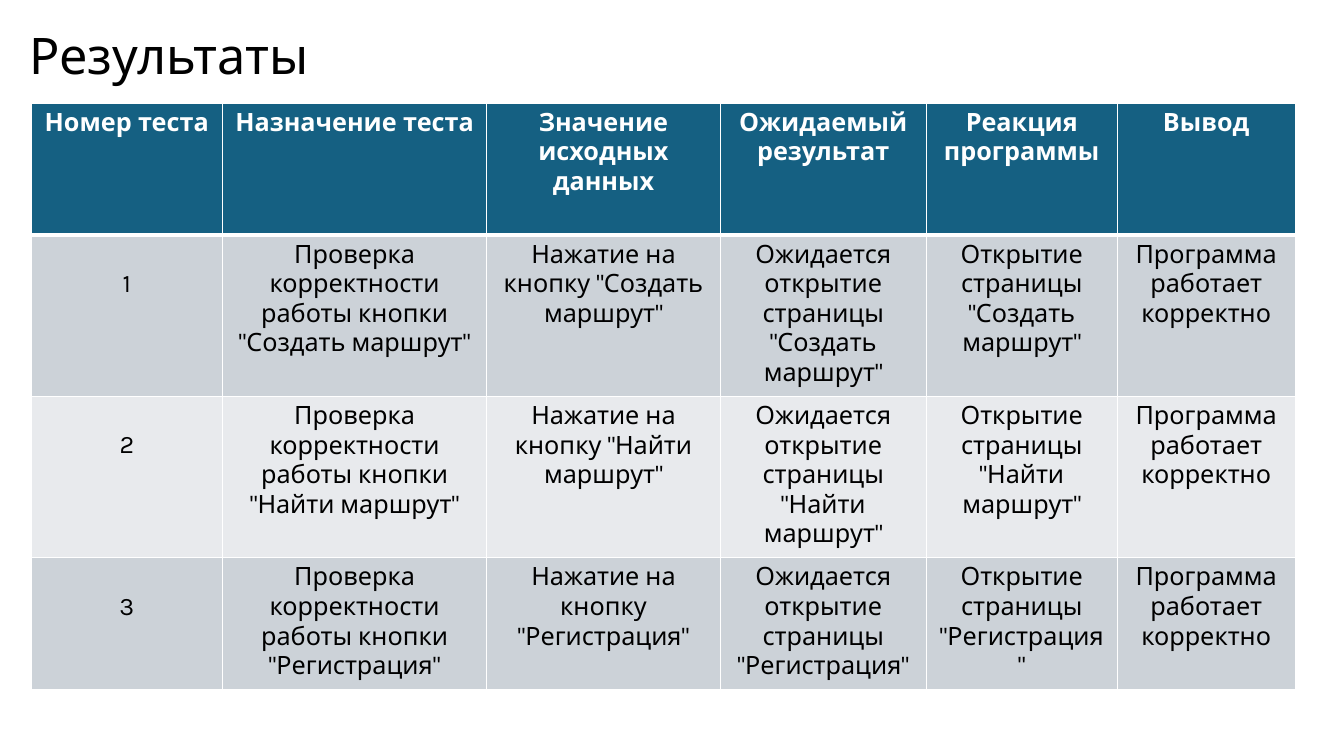
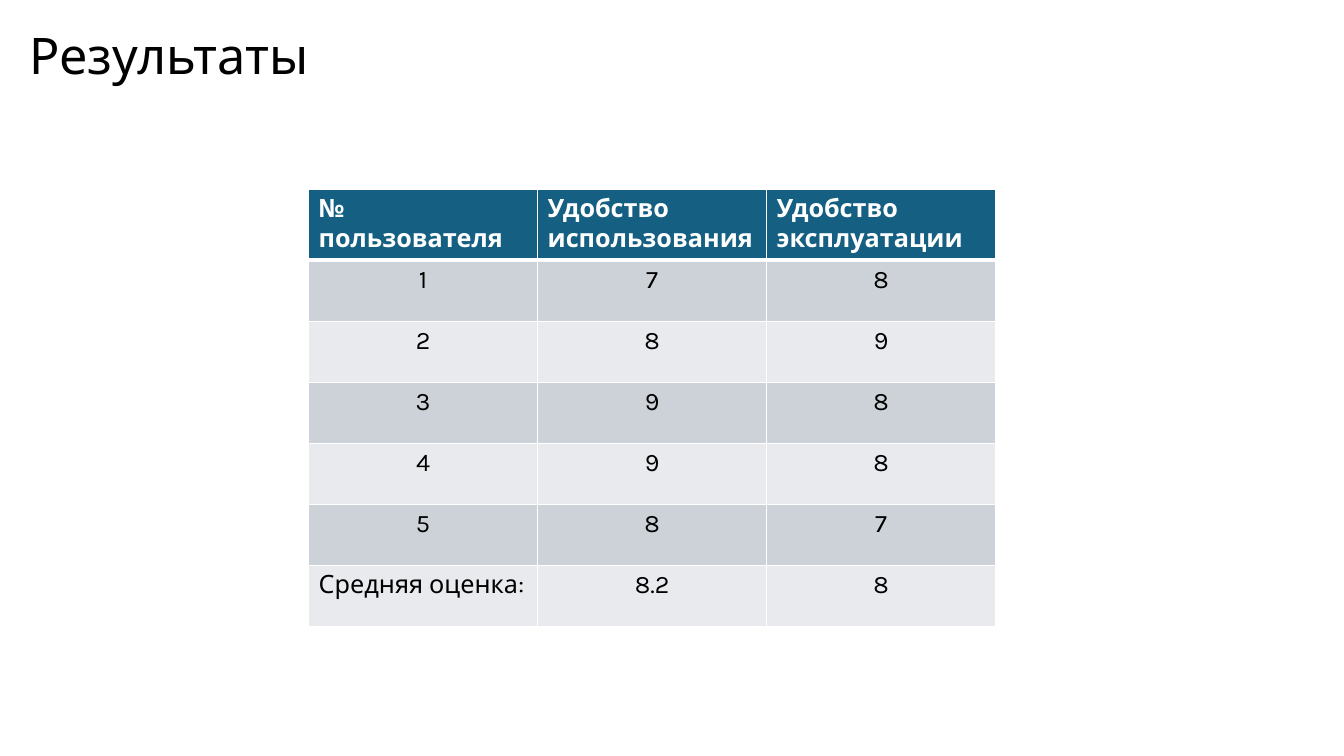
"""Build two slides with test results and user ratings."""
from lxml.etree import SubElement
from pptx import Presentation
from pptx.dml.color import RGBColor
from pptx.enum.text import MSO_ANCHOR, MSO_AUTO_SIZE, PP_ALIGN
from pptx.oxml.ns import qn
from pptx.util import Pt

LEFT, CENTER = PP_ALIGN.LEFT, PP_ALIGN.CENTER
TOP = MSO_ANCHOR.TOP
GROW = MSO_AUTO_SIZE.SHAPE_TO_FIT_TEXT
TITLE_ONLY = 5

COLORS = {
    "text": "000000",
    "inverse": "FFFFFF",
    "grid": "FFFFFF",
    "header": "156082",
    "odd": "CCD2D8",
    "even": "E8EAED",
}
TITLE_FONT = {"name": "Karla", "size": Pt(36), "bold": False}
HEADER_FONT = {"name": "Karla", "size": Pt(18), "bold": True}
BODY_FONT = {**HEADER_FONT, "bold": False}
TITLE_FRAME = {"word_wrap": True, "vertical_anchor": TOP, "auto_size": GROW}
TITLE_BOX = {"left": Pt(13.6), "top": Pt(13.6), "width": Pt(453), "height": Pt(51)}


def apply_format(target, values):
    for name, value in values.items():
        setattr(target, name, value)


class Deck:
    def __init__(self):
        self.presentation = Presentation()
        self.presentation.slide_width = Pt(960)
        self.presentation.slide_height = Pt(540)
        self.slide = None

    def start_slide(self, heading):
        layout = self.presentation.slide_layouts[TITLE_ONLY]
        self.slide = self.presentation.slides.add_slide(layout)
        title = self.slide.shapes.title
        apply_format(title, TITLE_BOX)
        apply_format(title.text_frame, TITLE_FRAME)
        self.put_text(title.text_frame, heading, LEFT, TITLE_FONT, "text")

    def put_text(self, frame, text, alignment, font, color):
        paragraph = frame.paragraphs[0]
        paragraph.alignment = alignment
        run = paragraph.add_run()
        run.text = text
        apply_format(run.font, font)
        run.font.color.rgb = RGBColor.from_string(COLORS[color])

    def borders(self, cell, row):
        widths = {"L": 1, "R": 1, "T": 3 if row == 1 else 1, "B": 3 if row == 0 else 1}
        properties = cell._tc.get_or_add_tcPr()
        for side, width in widths.items():
            line = SubElement(properties, qn(f"a:ln{side}"), w=str(Pt(width)))
            fill = SubElement(line, qn("a:solidFill"))
            SubElement(fill, qn("a:srgbClr"), val=COLORS["grid"])

    def table(self, left, top, widths, row_height, rows, left_cells=(), number_inset=3.6):
        frame = self.slide.shapes.add_table(
            len(rows), len(widths), Pt(left), Pt(top),
            Pt(sum(widths)), Pt(row_height * len(rows)))
        grid = frame.table
        for column, width in zip(grid.columns, widths):
            column.width = Pt(width)
        for r, texts in enumerate(rows):
            grid.rows[r].height = Pt(row_height)
            band = "header" if r == 0 else "odd" if r % 2 else "even"
            font, color = (BODY_FONT, "text") if r else (HEADER_FONT, "inverse")
            for c, text in enumerate(texts):
                cell = grid.cell(r, c)
                self.borders(cell, r)
                cell.fill.solid()
                cell.fill.fore_color.rgb = RGBColor.from_string(COLORS[band])
                if r and c == 0:
                    cell.margin_top = Pt(number_inset)
                alignment = LEFT if (r, c) in left_cells else CENTER
                self.put_text(cell.text_frame, text, alignment, font, color)


def main():
    deck = Deck()

    deck.start_slide("Результаты")
    tests = [("Номер теста", "Назначение теста", "Значение исходных данных",
              "Ожидаемый результат", "Реакция программы", "Вывод")]
    buttons = ("Создать маршрут", "Найти маршрут", "Регистрация")
    for number, button in enumerate(buttons, 1):
        tests.append((
            str(number),
            f'Проверка корректности работы кнопки "{button}"',
            f'Нажатие на кнопку "{button}"',
            f'Ожидается открытие страницы "{button}"',
            f'Открытие страницы "{button}"',
            "Программа работает корректно"))
    deck.table(22.2, 73.6, (136.8, 188.6, 167, 147, 136.6, 127), 94.3, tests,
               number_inset=24.6)

    deck.start_slide("Результаты")
    ratings = [
        ("№ пользователя", "Удобство использования", "Удобство эксплуатации"),
        ("1", "7", "8"),
        ("2", "8", "9"),
        ("3", "9", "8"),
        ("4", "9", "8"),
        ("5", "8", "7"),
        ("Средняя оценка:", "8.2", "8"),
    ]
    deck.table(220.4, 135.4, (163.6,) * 3, 43.6, ratings,
               left_cells={(0, 0), (0, 1), (0, 2), (6, 0)})

    deck.presentation.save("out.pptx")


if __name__ == "__main__":
    main()
